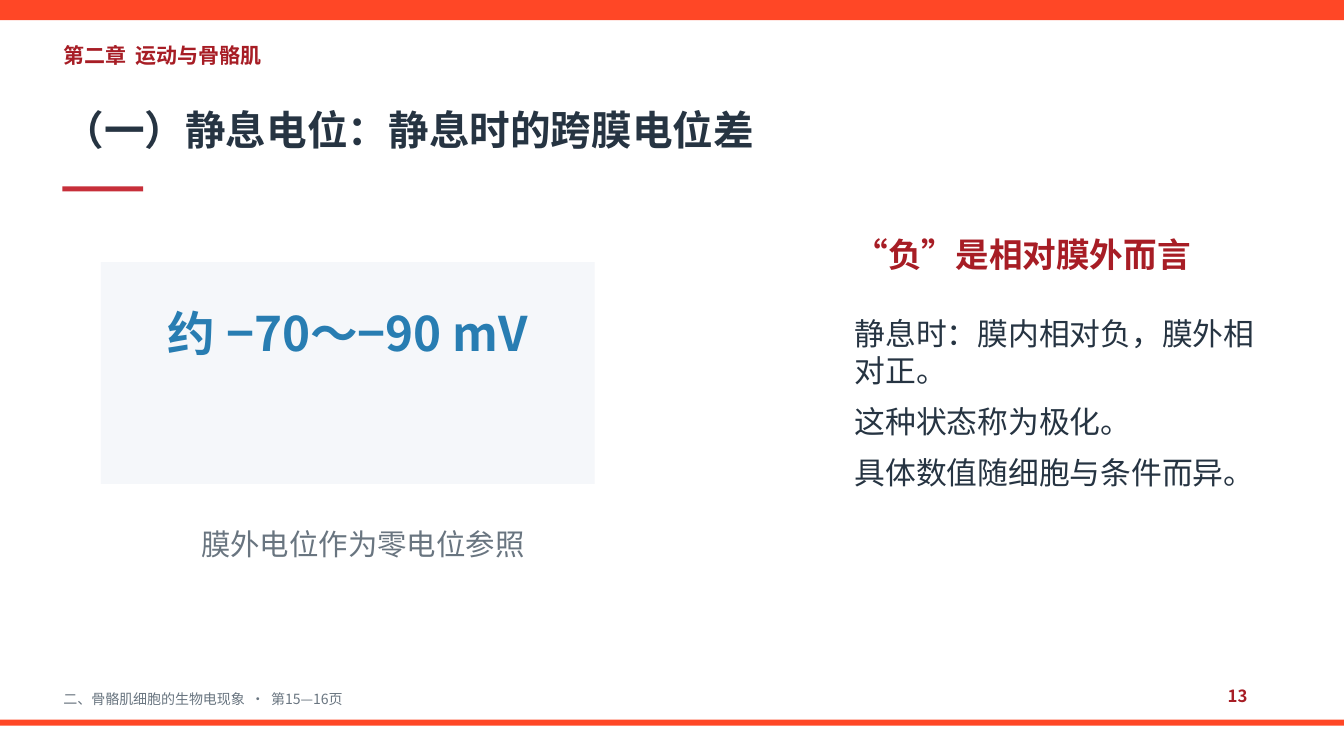
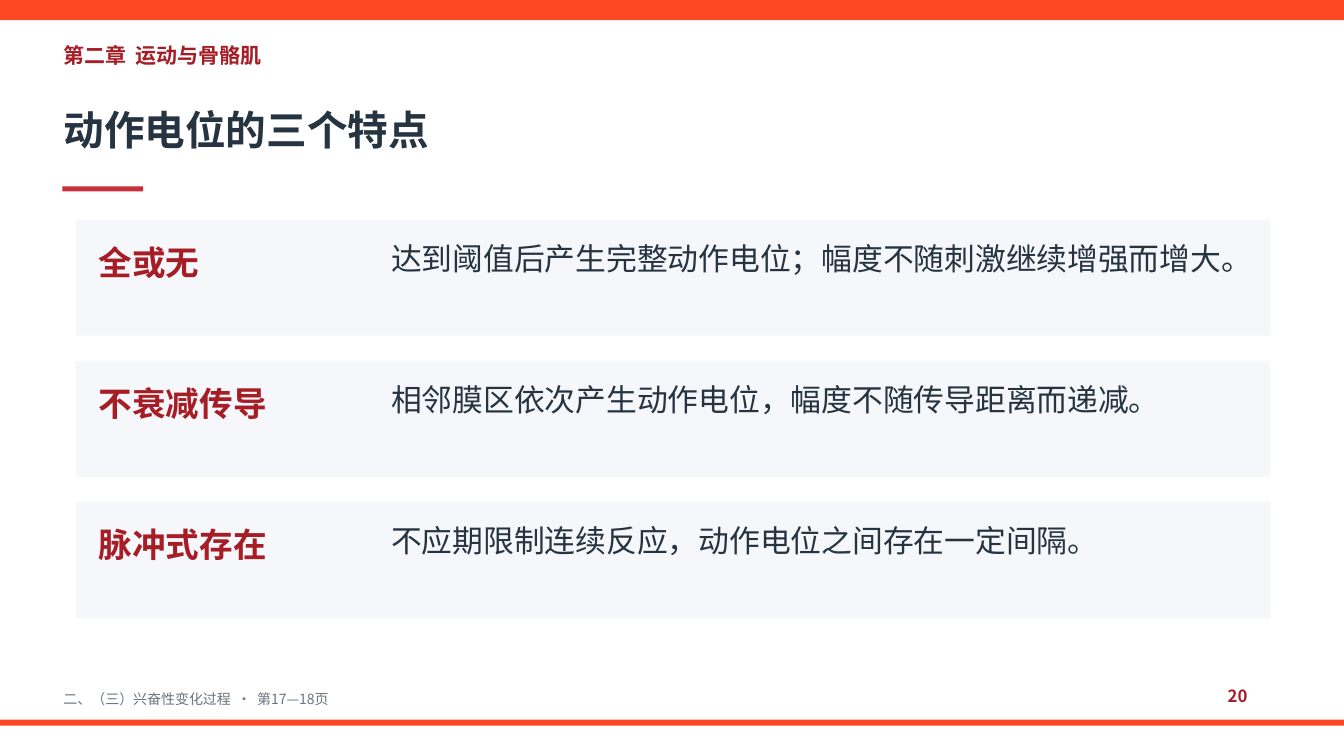
"""Build two physiology lecture slides on membrane potentials."""
from lxml import etree
from pptx import Presentation
from pptx.dml.color import RGBColor
from pptx.enum import shapes, text
from pptx.oxml import ns
from pptx.util import Pt

FONT = "Noto Sans CJK SC"
COLORS = {
    "band": "FF4726",
    "accent": "C72F3A",
    "heading": "A71D25",
    "ink": "263442",
    "muted": "697580",
    "value": "287DB2",
    "panel": "F5F7FA",
}
STYLES = {
    "chapter": (15, "heading", True),
    "title": (29, "ink", True),
    "footer": (10, "muted", False),
    "number": (12, "heading", True),
    "value": (34, "value", True),
    "caption": (21, "muted", False),
    "heading": (24, "heading", True),
    "body": (22, "ink", False),
}
CHAPTER = "第二章  运动与骨骼肌"
RESTING = {
    "title": "（一）静息电位：静息时的跨膜电位差",
    "footer": "二、骨骼肌细胞的生物电现象  ·  第15—16页",
    "number": "13",
    "value": "约 −70～−90 mV",
    "caption": "膜外电位作为零电位参照",
    "heading": "“负”是相对膜外而言",
    "body": [
        "静息时：膜内相对负，膜外相对正。",
        "这种状态称为极化。",
        "具体数值随细胞与条件而异。",
    ],
}
ACTION = {
    "title": "动作电位的三个特点",
    "footer": "二、（三）兴奋性变化过程  ·  第17—18页",
    "number": "20",
    "features": [
        ("全或无", "达到阈值后产生完整动作电位；幅度不随刺激继续增强而增大。"),
        ("不衰减传导", "相邻膜区依次产生动作电位，幅度不随传导距离而递减。"),
        ("脉冲式存在", "不应期限制连续反应，动作电位之间存在一定间隔。"),
    ],
}
CARD_TOP, CARD_HEIGHT, CARD_GAP = 156.96, 82.8, 18


def color(name):
    return RGBColor.from_string(COLORS[name])


def add_block(slide, fill, *bounds):
    block = slide.shapes.add_shape(shapes.MSO_SHAPE.RECTANGLE, *map(Pt, bounds))
    block.shadow.inherit = False
    block.fill.solid()
    block.fill.fore_color.rgb = color(fill)
    block.line.fill.background()


def write(box, lines, style, bounds, align=text.PP_ALIGN.LEFT):
    size, ink, bold = STYLES[style]
    box.left, box.top, box.width, box.height = map(Pt, bounds)
    frame = box.text_frame
    frame.text = "\n".join(lines)
    frame.word_wrap = True
    frame.auto_size = text.MSO_AUTO_SIZE.SHAPE_TO_FIT_TEXT
    frame.vertical_anchor = text.MSO_ANCHOR.TOP
    frame.margin_left = frame.margin_right = Pt(2.16)
    frame.margin_top, frame.margin_bottom = Pt(1.44), 0
    for para in frame.paragraphs:
        para.alignment = align
        para.space_before, para.space_after = 0, Pt(10)
        for span in para.runs:
            font = span.font
            font.name, font.size, font.bold = FONT, Pt(size), bold
            font.color.rgb = color(ink)
            etree.SubElement(font._element, ns.qn("a:ea"), typeface=FONT)


def add_text(slide, line, style, *bounds, align=text.PP_ALIGN.LEFT):
    box = slide.shapes.add_textbox(*map(Pt, bounds))
    write(box, [line], style, bounds, align)


def add_page(deck, layout, content):
    slide = deck.slides.add_slide(deck.slide_layouts.get_by_name(layout))
    add_block(slide, "band", 0, 0, 960, 14.4)
    add_text(slide, CHAPTER, "chapter", 43.2, 28.8, 849.6, 25.2)
    write(slide.shapes.title, [content["title"]], "title", (43.2, 73.44, 871.2, 46.8))
    add_block(slide, "accent", 44.64, 133.2, 57.6, 3.6)
    add_text(slide, content["footer"], "footer", 43.2, 491.76, 835.2, 16.56)
    add_text(slide, content["number"], "number", 874.8, 488.16, 39.6, 21.6)
    add_block(slide, "band", 0, 514.08, 960, 4.32)
    return slide


def add_resting(deck):
    slide = add_page(deck, "Title and Content", RESTING)
    center = text.PP_ALIGN.CENTER
    add_block(slide, "panel", 72, 187.2, 352.8, 158.4)
    add_text(slide, RESTING["value"], "value", 97.2, 216, 302.4, 72, align=center)
    add_text(slide, RESTING["caption"], "caption", 86.4, 374.4, 345.6, 43.2, align=center)
    add_text(slide, RESTING["heading"], "heading", 608.4, 165.6, 302.4, 43.2)
    body = slide.placeholders[1]
    write(body, RESTING["body"], "body", (608.4, 223.2, 302.4, 252))
    for para in body.text_frame.paragraphs:
        props = para._p.get_or_add_pPr()
        props.set("marL", "0")
        props.set("indent", "0")
        etree.SubElement(props, ns.qn("a:buNone"))


def add_action(deck):
    slide = add_page(deck, "Title Only", ACTION)
    for index, (name, detail) in enumerate(ACTION["features"]):
        top = CARD_TOP + index * (CARD_HEIGHT + CARD_GAP)
        add_block(slide, "panel", 54, top, 853.2, CARD_HEIGHT)
        add_text(slide, name, "heading", 68.4, top + 14.4, 194.4, 39.6)
        add_text(slide, detail, "body", 277.2, top + 12.96, 601.2, 59.76)


def main():
    deck = Presentation()
    deck.slide_width, deck.slide_height = Pt(960), Pt(540)
    add_resting(deck)
    add_action(deck)
    deck.save("out.pptx")


if __name__ == "__main__":
    main()
